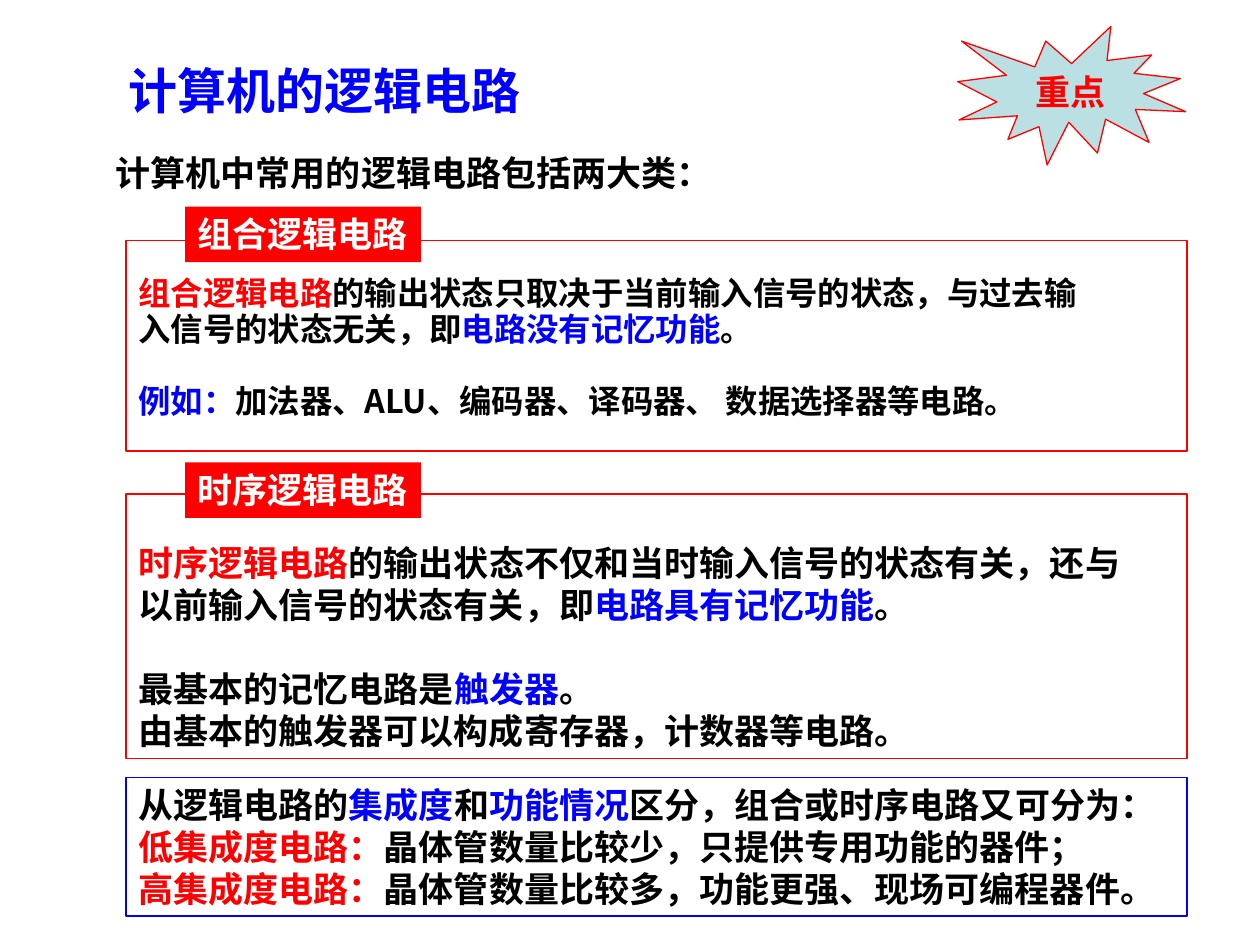
from lxml.etree import SubElement
from pptx import Presentation
from pptx.dml.color import RGBColor
from pptx.enum.shapes import MSO_SHAPE
from pptx.enum.text import MSO_ANCHOR, PP_ALIGN
from pptx.oxml.ns import qn
from pptx.util import Inches, Pt

FONT = "Noto Sans CJK SC"
RED = RGBColor(0xFF, 0x00, 0x00)
BLUE = RGBColor(0x00, 0x00, 0xFF)
BLACK = RGBColor(0x00, 0x00, 0x00)
WHITE = RGBColor(0xFF, 0xFF, 0xFF)
PALE_TEAL = RGBColor(0xBB, 0xE0, 0xE3)

PANEL_LEFT, PANEL_WIDTH = 1, 8.42


def style_paragraph(paragraph, size, color=None, align=PP_ALIGN.LEFT):
    paragraph.alignment = align
    font = paragraph.font
    font.name, font.size, font.bold = FONT, Pt(size), True
    defaults = paragraph._p.pPr.find(qn("a:defRPr"))
    SubElement(defaults, qn("a:ea")).set("typeface", FONT)
    if color is not None:
        font.color.rgb = color


def set_frame(frame, top_inset=0.05, wrap=True, anchor=MSO_ANCHOR.TOP):
    frame.margin_left = frame.margin_right = Inches(0.1)
    frame.margin_top, frame.margin_bottom = Inches(top_inset), Inches(0.05)
    frame.word_wrap = wrap
    frame.vertical_anchor = anchor


def write_line(frame, text, size, color, align=PP_ALIGN.LEFT):
    frame.text = text
    style_paragraph(frame.paragraphs[0], size, color, align)


def add_box(slide, box, fill=None, line=None, kind=MSO_SHAPE.RECTANGLE):
    shape = slide.shapes.add_shape(kind, *map(Inches, box))
    shape.shadow.inherit = False
    if fill is None:
        shape.fill.background()
    else:
        shape.fill.solid()
        shape.fill.fore_color.rgb = fill
    if line is None:
        shape.line.fill.background()
    else:
        shape.line.color.rgb = line
        shape.line.width = Pt(0.75)
    return shape


def add_heading(slide, box, text):
    title = slide.shapes.title
    title.left, title.top, title.width, title.height = map(Inches, box)
    set_frame(title.text_frame)
    write_line(title.text_frame, text, 28, BLUE)


def add_intro(slide, box, text):
    intro = slide.shapes.add_textbox(*map(Inches, box))
    set_frame(intro.text_frame, wrap=False)
    write_line(intro.text_frame, text, 20, BLACK)


def add_panel(slide, top, height, line, lines, size=20, top_inset=0.05,
              spacing=1.0, gap=0, wide_gap=0):
    """Framed text; each line is (starts a new block, coloured runs)."""
    panel = add_box(slide, (PANEL_LEFT, top, PANEL_WIDTH, height), line=line)
    frame = panel.text_frame
    set_frame(frame, top_inset)
    for index, (new_block, runs) in enumerate(lines):
        paragraph = frame.add_paragraph() if index else frame.paragraphs[0]
        paragraph.line_spacing = spacing
        if index:
            paragraph.space_before = Pt(wide_gap if new_block else gap)
        style_paragraph(paragraph, size)
        for text, color in runs:
            run = paragraph.add_run()
            run.text = text
            run.font.color.rgb = color


def add_label(slide, top, text):
    label = add_box(slide, (PANEL_LEFT + 0.47, top, 1.87, 0.44), fill=RED)
    set_frame(label.text_frame, wrap=False)
    write_line(label.text_frame, text, 20, WHITE)


def add_burst(slide, box, text):
    burst = add_box(slide, box, PALE_TEAL, RED, MSO_SHAPE.EXPLOSION1)
    set_frame(burst.text_frame, wrap=False, anchor=MSO_ANCHOR.MIDDLE)
    write_line(burst.text_frame, text, 20, RED, PP_ALIGN.CENTER)


COMBINATIONAL = [
    (False, [("组合逻辑电路", RED),
             ("的输出状态只取决于当前输入信号的状态，与过去输", BLACK)]),
    (False, [("入信号的状态无关，即", BLACK), ("电路没有记忆功能", BLUE),
             ("。", BLACK)]),
    (True, [("例如：", BLUE),
            ("加法器、ALU、编码器、译码器、 数据选择器等电路。", BLACK)]),
]
SEQUENTIAL = [
    (False, [("时序逻辑电路", RED),
             ("的输出状态不仅和当时输入信号的状态有关，还与", BLACK)]),
    (False, [("以前输入信号的状态有关，即", BLACK), ("电路具有记忆功能", BLUE),
             ("。", BLACK)]),
    (True, [("最基本的记忆电路是", BLACK), ("触发器", BLUE), ("。", BLACK)]),
    (False, [("由基本的触发器可以构成寄存器，计数器等电路。", BLACK)]),
]
INTEGRATION = [
    (False, [("从逻辑电路的", BLACK), ("集成度", BLUE), ("和", BLACK),
             ("功能情况", BLUE), ("区分，组合或时序电路又可分为：", BLACK)]),
    (False, [("低集成度电路：", RED),
             ("晶体管数量比较少，只提供专用功能的器件；", BLACK)]),
    (False, [("高集成度电路：", RED),
             ("晶体管数量比较多，功能更强、现场可编程器件。", BLACK)]),
]


def main():
    deck = Presentation()
    deck.slide_width, deck.slide_height = Inches(10), Inches(7.5)
    slide = deck.slides.add_slide(deck.slide_layouts[5])

    # Heading and introduction
    add_heading(slide, (0.92, 0.43, 5.19, 0.57), "计算机的逻辑电路")
    add_intro(slide, (0.82, 1.15, 4.93, 0.44), "计算机中常用的逻辑电路包括两大类：")

    # The two kinds of circuit, each with a label on its frame
    add_panel(slide, 1.91, 1.67, RED, COMBINATIONAL, size=18.5,
              top_inset=0.34, spacing=0.7, gap=5, wide_gap=25.5)
    add_label(slide, 1.64, "组合逻辑电路")
    add_panel(slide, 3.92, 2.1, RED, SEQUENTIAL, top_inset=0.38, wide_gap=24)
    add_label(slide, 3.67, "时序逻辑电路")

    # Division by level of integration
    add_panel(slide, 6.17, 1.1, BLUE, INTEGRATION)

    # Key point marker
    add_burst(slide, (7.6, 0.21, 1.81, 1.1), "重点")

    deck.save("out.pptx")


if __name__ == "__main__":
    main()
